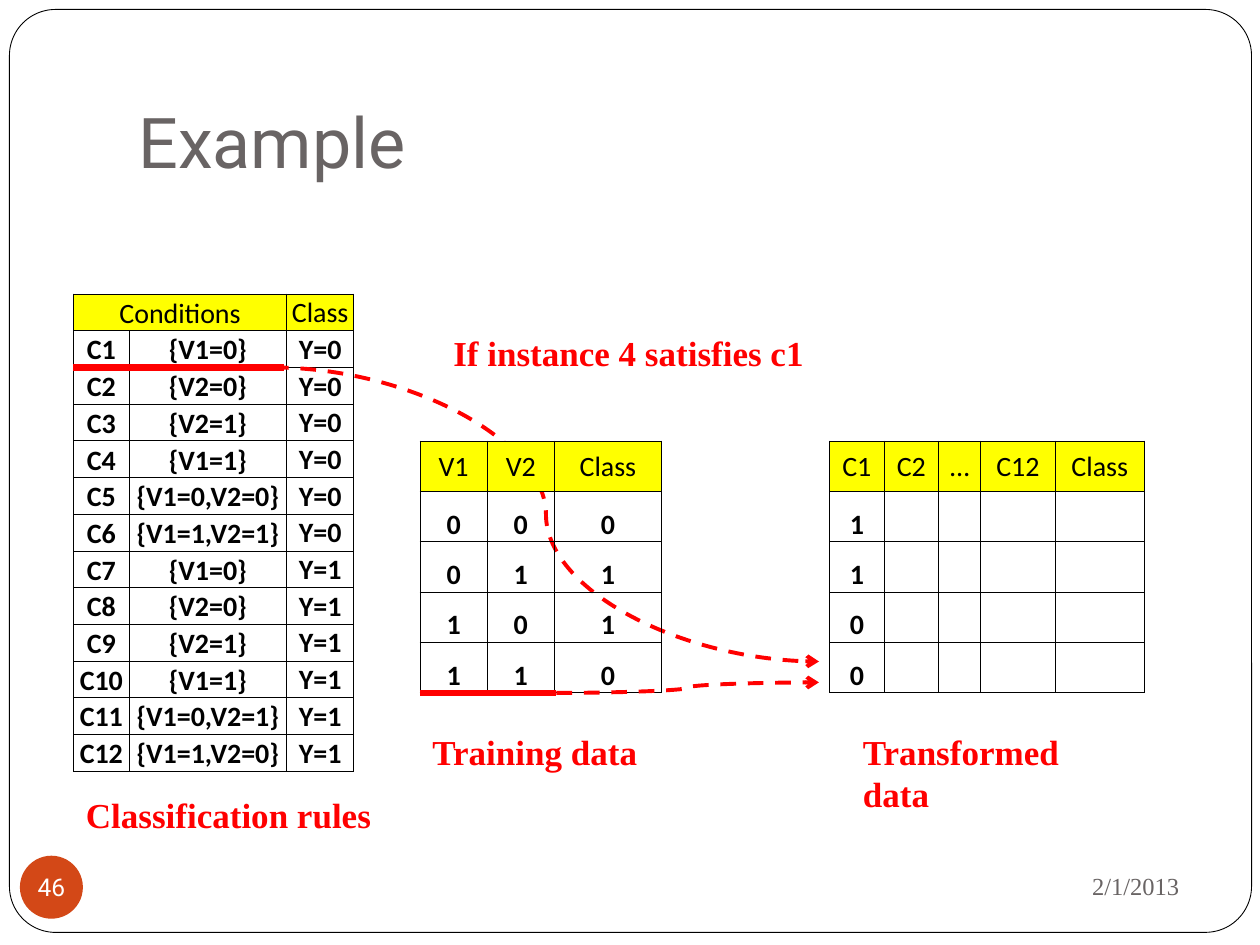
from pptx import Presentation
from pptx.dml.color import RGBColor
from pptx.enum.dml import MSO_LINE
from pptx.enum.shapes import MSO_CONNECTOR, MSO_SHAPE
from pptx.enum.text import MSO_ANCHOR, PP_ALIGN
from pptx.oxml import parse_xml
from pptx.oxml.ns import nsdecls
from pptx.util import Inches, Pt

WHITE = RGBColor(0xFF, 0xFF, 0xFF)
BLACK = RGBColor(0, 0, 0)
RED = RGBColor(0xFF, 0, 0)
YELLOW = RGBColor(0xFF, 0xFF, 0)
GREY = RGBColor(0x69, 0x64, 0x64)
ORANGE = RGBColor(0xD3, 0x48, 0x17)
TOP, MID, LOW = MSO_ANCHOR.TOP, MSO_ANCHOR.MIDDLE, MSO_ANCHOR.BOTTOM
LEFT, CENTER, RIGHT = PP_ALIGN.LEFT, PP_ALIGN.CENTER, PP_ALIGN.RIGHT
LINE, CURVE = MSO_CONNECTOR.STRAIGHT, MSO_CONNECTOR.CURVE
ROUND, OVAL = MSO_SHAPE.ROUNDED_RECTANGLE, MSO_SHAPE.OVAL
DASH = MSO_LINE.DASH
SERIF, SANS, BODY = "Times New Roman", "Roboto", "Calibri"


def grid(*units):
    """Turn grid units, twelve to the inch, into lengths."""
    return [Inches(unit / 12) for unit in units]


def write(frame, text, size, font, color, bold=False, align=LEFT):
    frame.text = text
    para = frame.paragraphs[0]
    para.alignment = align
    for run in para.runs:
        run.font.size = Pt(size)
        run.font.name = font
        run.font.color.rgb = color
        run.font.bold = bold


def add_text(slide, box, text, size, font, color, bold=False, align=LEFT,
             anchor=TOP):
    frame = slide.shapes.add_textbox(*grid(*box)).text_frame
    frame.word_wrap = True
    frame.vertical_anchor = anchor
    write(frame, text, size, font, color, bold, align)
    return frame


def add_label(slide, box, text):
    add_text(slide, box, text, 20, SERIF, RED, True)


def add_link(slide, kind, start, end, width):
    link = slide.shapes.add_connector(kind, *grid(*start, *end))
    link.line.color.rgb = RED
    link.line.width = Pt(width)
    props = link._element.spPr
    props.append(parse_xml(f"<a:effectLst {nsdecls('a')}/>"))
    return link


def add_arrow(slide, start, end):
    """Dashed curve with an open head at its end."""
    line = add_link(slide, CURVE, start, end, 2.25).line
    line.dash_style = DASH
    line._get_or_add_ln().append(
        parse_xml(f'<a:tailEnd {nsdecls("a")} type="arrow"/>'))


def style_cell(cell, head, anchor):
    cell.margin_left = cell.margin_right = cell.margin_top = Inches(0.01)
    cell.margin_bottom = 0
    cell.vertical_anchor = anchor
    props = cell._tc.get_or_add_tcPr()
    for side in ("lnL", "lnR", "lnT", "lnB"):
        props.append(parse_xml(
            f'<a:{side} {nsdecls("a")} w="6350"><a:solidFill>'
            f'<a:srgbClr val="{BLACK}"/></a:solidFill></a:{side}>'))
    if head:
        cell.fill.solid()
        cell.fill.fore_color.rgb = YELLOW
    else:
        cell.fill.background()


def add_grid(slide, box, cols, rows, anchor):
    """Bordered table with a yellow head; anchor(row, col) aligns each cell."""
    table = slide.shapes.add_table(len(rows), len(cols), *grid(*box)).table
    table.first_row = table.horz_banding = False
    for col, width in zip(table.columns, grid(*cols)):
        col.width = width
    for r, texts in enumerate(rows):
        table.rows[r].height = grid(box[3] / len(rows))[0]
        for c, text in enumerate(texts):
            cell = table.cell(r, c)
            style_cell(cell, r == 0, anchor(r, c))
            if text:
                write(cell.text_frame, text, 16, BODY, BLACK, r > 0, CENTER)
    return table


def add_rules(slide, x, y):
    sets = ["V1=0", "V2=0", "V2=1", "V1=1", "V1=0,V2=0", "V1=1,V2=1",
            "V1=0", "V2=0", "V2=1", "V1=1", "V1=0,V2=1", "V1=1,V2=0"]
    rows = [["Conditions", "", "Class"]]
    rows += [[f"C{n}", f"{{{rule}}}", f"Y={n // 7}"]
             for n, rule in enumerate(sets, 1)]
    table = add_grid(slide, (x, y, 26.7, 45.5), (5.3, 15, 6.4), rows,
                     lambda r, c: MID if c == 2 else LOW)
    table.cell(0, 0).merge(table.cell(0, 1))
    add_label(slide, (x, y + 47, 30, 5.3), "Classification rules")


def head_mid(row, col):
    return LOW if row else MID


def add_training(slide, x, y):
    rows = [["V1", "V2", "Class"]]
    rows += [[str(a), str(b), str(a ^ b)] for a in (0, 1) for b in (0, 1)]
    add_grid(slide, (x, y, 23, 24), (6.4, 6.4, 10.2), rows, head_mid)
    add_label(slide, (x, y + 27, 23, 5.3), "Training data")


def add_result(slide, x, y):
    rows = [["C1", "C2", "…", "C12", "Class"]]
    rows += [[bit, "", "", "", ""] for bit in "1100"]
    add_grid(slide, (x, y, 30, 24), (5.2, 5.2, 4, 7.1, 8.5), rows, head_mid)
    add_label(slide, (x + 2, y + 27, 28, 5.3), "Transformed data")


def add_plain(slide, kind, box, fill):
    shape = slide.shapes.add_shape(kind, *grid(*box))
    shape.shadow.inherit = False
    shape.fill.solid()
    shape.fill.fore_color.rgb = fill
    return shape


def add_frame(slide):
    """Page border, title, date and page number."""
    page = add_plain(slide, ROUND, (0.9, 0.9, 118.3, 87.9), WHITE)
    page.adjustments[0] = 0.05
    page.line.color.rgb = BLACK
    page.line.width = Pt(0.5)
    title = add_text(slide, (12, 3.6, 102, 15), "Example", 40, SANS, GREY,
                     anchor=LOW)
    title.margin_bottom = Inches(0.1)
    add_text(slide, (81, 81.2, 32.5, 6.3), "2/1/2013", 14, SERIF, GREY,
             align=RIGHT, anchor=MID)
    badge = add_plain(slide, OVAL, (1.9, 81.5, 6, 6), ORANGE)
    badge.line.fill.background()
    frame = badge.text_frame
    frame.margin_left = frame.margin_right = 0
    frame.margin_top = frame.margin_bottom = 0
    frame.word_wrap = False
    frame.vertical_anchor = MID
    write(frame, "46", 14, SANS, WHITE, align=CENTER)


def main():
    deck = Presentation()
    deck.slide_width, deck.slide_height = grid(120, 90)
    slide = deck.slides.add_slide(deck.slide_layouts[6])
    add_frame(slide)
    add_rules(slide, 7, 28)
    add_arrow(slide, (26, 35), (78, 63))
    add_label(slide, (42, 31, 42, 5.3), "If instance 4 satisfies c1")
    add_training(slide, 40, 42)
    add_arrow(slide, (53, 66), (78, 65))
    add_link(slide, LINE, (7, 35), (27, 35), 3.5)
    add_link(slide, LINE, (40, 66), (53, 66), 3.5)
    add_result(slide, 79, 42)
    deck.save("out.pptx")


if __name__ == "__main__":
    main()
